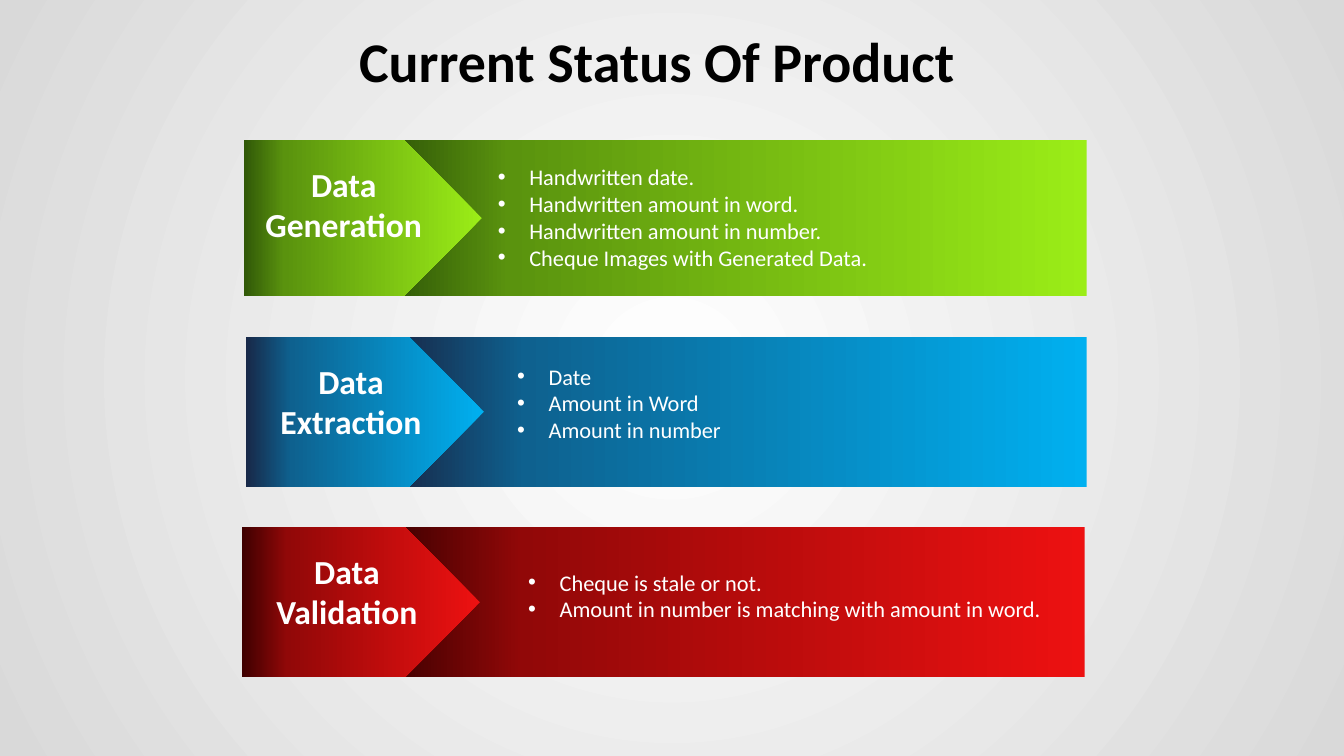
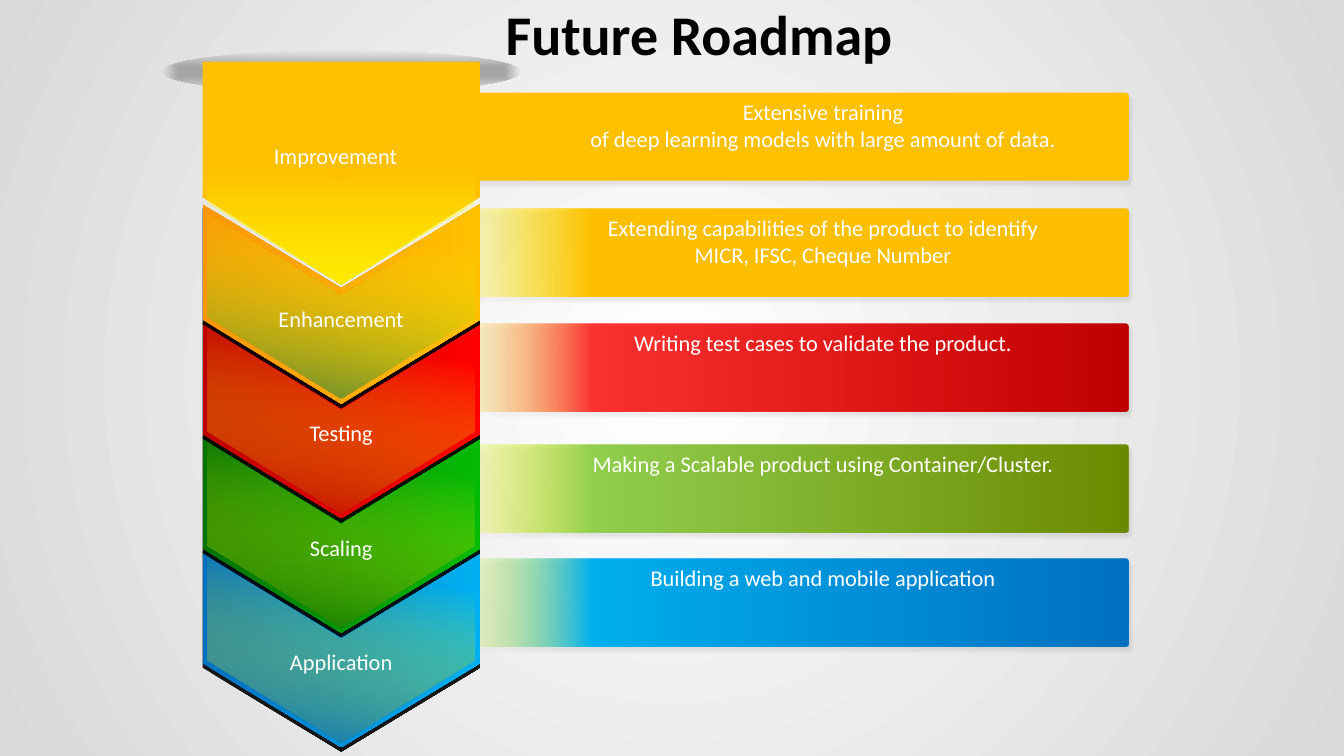
import pptx
import pptx.dml.color
import pptx.enum.shapes
import pptx.enum.text
import pptx.oxml
import pptx.oxml.ns
import pptx.util

Pt = pptx.util.Pt
SHAPES = pptx.enum.shapes.MSO_SHAPE
ALIGN = pptx.enum.text.PP_ALIGN
TOP = pptx.enum.text.MSO_ANCHOR.TOP
qn = pptx.oxml.ns.qn
FONT = "Calibri"
WHITE = "FFFFFF"
BLACK = "000000"
AMBER = "FFC000"
CLEAR_YELLOW = ("FFFF00", 0)

STATUS_ROWS = [
    dict(box=(174.2, 100, 602, 111.6), label="Data Generation", label_left=-3.7,
         list_at=(138.2, 13), colors=("9BED17", "5A930E", "305808"), middle=83,
         items=["Handwritten date.", "Handwritten amount in word.",
                "Handwritten amount in number.", "Cheque Images with Generated Data."]),
    dict(box=(175.7, 240.5, 600.5, 107.3), label="Data Extraction", label_left=0,
         list_at=(150.5, 15), colors=("00B0F0", "0E618F", "182848"), middle=81,
         items=["Date", "Amount in Word", "Amount in number"]),
    dict(box=(172.8, 376.6, 602, 107.3), label="Data Validation", label_left=0,
         list_at=(161.3, 26), colors=("ED1111", "910808", "3E0000"), middle=81,
         items=["Cheque is stale or not.",
                "Amount in number is matching with amount in word."]),
]

ROADMAP_BARS = [
    (66.2, None, ["Extensive training",
                  "of deep learning models with large amount of data."]),
    (149, (AMBER, AMBER, 100), ["Extending capabilities of the product to identify",
                                "MICR, IFSC, Cheque Number"]),
    (231.1, ("C00000", "FF0000", 79), ["Writing test cases to validate the product."]),
    (317.5, ("6C8A00", "92D050", 100),
     ["Making a Scalable product using Container/Cluster."]),
    (398.9, ("0070C0", "00B0F0", 100), ["Building a web and mobile application"]),
]

ROADMAP_STEPS = [
    ("Enhancement", "FA9706", AMBER, "548235"),
    ("Testing", "C00000", "FF0000", "C00000"),
    ("Scaling", "037303", "05BA05", "037303"),
    ("Application", "0070C0", "00B0F0", "0070C0"),
]


def rgb(color):
    """Return the colour object for a hex string."""
    return pptx.dml.color.RGBColor.from_string(color)


def drawing(markup):
    """Parse one DrawingML element."""
    head, tail = markup.split(" ", 1)
    namespace = pptx.oxml.ns.nsdecls("a")
    return pptx.oxml.parse_xml(f"{head} {namespace} {tail}")


def gradient(stops, angle=None, route="circle"):
    """Build a gradient, linear at an angle or spreading from the centre."""
    marks = "".join(
        f'<a:gs pos="{position * 1000}"><a:srgbClr val="{color}">'
        f'<a:alpha val="{alpha * 1000}"/></a:srgbClr></a:gs>'
        for position, color, alpha in stops)
    if angle is None:
        course = (f'<a:path path="{route}"><a:fillToRect l="50000" t="50000" '
                  'r="50000" b="50000"/></a:path>')
    else:
        course = f'<a:lin ang="{angle * 60000}" scaled="0"/>'
    return drawing(f'<a:gradFill rotWithShape="1"><a:gsLst>{marks}</a:gsLst>'
                   f'{course}</a:gradFill>')


def put_text(frame, lines, size=16, color=WHITE, bold=False, align=ALIGN.LEFT,
             indent=0, bullet_gap=0):
    """Fill a text frame with one paragraph for each line."""
    frame.word_wrap = True
    frame.auto_size = pptx.enum.text.MSO_AUTO_SIZE.NONE
    frame.vertical_anchor = TOP
    for index, line in enumerate(lines):
        paragraph = frame.add_paragraph() if index else frame.paragraphs[0]
        paragraph.alignment = align
        paragraph.space_before = Pt(0)
        run = paragraph.add_run()
        run.text = line
        run.font.name = FONT
        run.font.size = Pt(size)
        run.font.bold = bold
        run.font.color.rgb = rgb(color)
        properties = paragraph._p.get_or_add_pPr()
        properties.set("marL", str(Pt(indent)))
        properties.set("indent", str(-Pt(bullet_gap)))
        if bullet_gap:
            properties.append(drawing('<a:buFont typeface="Arial"/>'))
            properties.append(drawing('<a:buChar char="&#8226;"/>'))


def place(shape, left, top, width, height):
    """Set the position and size of a shape."""
    shape.left, shape.top = Pt(left), Pt(top)
    shape.width, shape.height = Pt(width), Pt(height)


def add_shape(slide, kind, box, fill, adjust=None, rotation=0, shadow=None):
    """Add a borderless shape with a plain or gradient fill."""
    shape = slide.shapes.add_shape(kind, *(Pt(length) for length in box))
    shape.shadow.inherit = False
    shape.line.fill.background()
    shape.rotation = rotation
    if adjust is not None:
        shape.adjustments[0] = adjust
    if isinstance(fill, str):
        shape.fill.solid()
        shape.fill.fore_color.rgb = rgb(fill)
    else:
        shape.fill.background()
        properties = shape.element.spPr
        properties.replace(properties.find(qn("a:noFill")), fill)
    if shadow:
        alpha, blur, distance, direction = shadow
        shape.element.spPr.find(qn("a:effectLst")).append(drawing(
            f'<a:outerShdw blurRad="{Pt(blur)}" dist="{Pt(distance)}" '
            f'dir="{direction * 60000}" algn="tl" rotWithShape="0">'
            f'<a:srgbClr val="{BLACK}"><a:alpha val="{alpha * 1000}"/></a:srgbClr>'
            '</a:outerShdw>'))
    return shape


def add_pointer(slide, kind, center, length, breadth, fill, adjust, shadow=None):
    """Add a shape turned to point down around its centre."""
    x, y = center
    box = (x - length / 2, y - breadth / 2, length, breadth)
    return add_shape(slide, kind, box, fill, adjust, 90, shadow)


def add_label(slide, text, box, **style):
    """Add a centred text box."""
    label = slide.shapes.add_textbox(*(Pt(length) for length in box))
    put_text(label.text_frame, [text], align=ALIGN.CENTER, **style)


def set_title(slide, text, left, top):
    """Write and place the slide title in front of the other shapes."""
    title = slide.shapes.title
    place(title, left, top, 552.2, 55.4)
    put_text(title.text_frame, [text], size=40, color=BLACK, bold=True,
             align=ALIGN.CENTER)
    slide.shapes.element.append(title.element)


def set_background(presentation):
    """Give the master a soft light spot in the centre."""
    master = presentation.slide_master
    master.background.fill.solid()
    properties = master.element.find(".//" + qn("p:bgPr"))
    glow = gradient([(0, WHITE, 100), (100, "D9D9D9", 100)])
    properties.replace(properties.find(qn("a:solidFill")), glow)


def add_status_row(slide, body, box, label, label_left, list_at, colors, middle, items):
    """Draw one status band with its arrow, label and list."""
    left, top, width, height = box
    stops = [(position, color, 100)
             for position, color in zip((0, middle, 100), colors)]
    add_shape(slide, SHAPES.PENTAGON, (left + 105, top, width - 105, height),
              gradient(stops, 180), 0)
    add_shape(slide, SHAPES.PENTAGON, (left, top, 170, height),
              gradient(stops, 180), 0.5)
    add_label(slide, label, (left + label_left, top + 13.5, 150, 81), size=24, bold=True)
    place(body, left + list_at[0], top + list_at[1], 432, 85)
    put_text(body.text_frame, items, indent=58.5, bullet_gap=22.5)
    slide.shapes.element.append(body.element)


def add_status_slide(presentation):
    """Build the slide with the three status bands."""
    slide = presentation.slides.add_slide(presentation.slide_layouts[4])
    bodies = [shape for shape in slide.placeholders
              if shape.placeholder_format.idx > 0]
    for body, row in zip(bodies, STATUS_ROWS):
        add_status_row(slide, body, **row)
    for spare in bodies[len(STATUS_ROWS):]:
        slide.shapes.element.remove(spare.element)
    set_title(slide, "Current Status Of Product", 193, 15.1)


def add_roadmap_bar(slide, box, colors, lines):
    """Draw one roadmap bar that fades out to the left."""
    fill = AMBER
    if colors:
        end, start, alpha = colors
        fill = gradient([(0, end, 100), (78, start, alpha), (100, *CLEAR_YELLOW)], 180)
    bar = add_shape(slide, SHAPES.ROUNDED_RECTANGLE, box, fill, 0.04,
                    shadow=(8, 2, 3, 70))
    put_text(bar.text_frame, lines, align=ALIGN.CENTER, indent=54)


def add_step_label(slide, text, center):
    """Write the name of a step around its centre."""
    x, y = center
    add_label(slide, text, (x - 72, y - 13.3, 144, 26.6))


def add_step(slide, center, text, left_color, right_color, tip_color):
    """Draw one chevron of the roadmap with its glow and name."""
    x, y = center
    side_fill = gradient([(0, left_color, 100), (100, right_color, 100)], 270)
    add_pointer(slide, SHAPES.CHEVRON, center, 142.6, 198, side_fill, 0.42,
                shadow=(90, 0, 3, 90))
    glow = gradient([(0, tip_color, 100), (85, *CLEAR_YELLOW)], 190)
    add_pointer(slide, SHAPES.CHEVRON, (x, y + 1.4), 132.5, 190.8, glow, 0.44)
    add_step_label(slide, text, (x, y + 10.4))


def add_first_step(slide, center):
    """Draw the plate that heads the roadmap."""
    x, y = center
    add_pointer(slide, SHAPES.PENTAGON, center, 159.1, 198, AMBER, 0.39)
    glow = gradient([(0, "FFED01", 100), (62, *CLEAR_YELLOW)], 180)
    add_pointer(slide, SHAPES.CHEVRON, (x, y + 13.7), 132.5, 190.8, glow, 0.44)
    add_step_label(slide, "Improvement", (x - 4, y - 12.2))


def add_roadmap_slide(presentation):
    """Build the slide with the stacked chevrons and their bars."""
    slide = presentation.slides.add_slide(presentation.slide_layouts[5])
    for top, colors, lines in ROADMAP_BARS:
        add_roadmap_bar(slide, (315.4, top, 491, 62.9), colors, lines)
    halo = gradient([(23, "A6A6A6", 100), (100, "A6A6A6", 0)], route="shape")
    add_shape(slide, SHAPES.OVAL, (115.9, 36, 255.6, 30.2), halo)
    axis, first_center, pitch = 243.7, 217.1, 81.8
    for index, step in reversed(list(enumerate(ROADMAP_STEPS))):
        add_step(slide, (axis, first_center + index * pitch), *step)
    add_first_step(slide, (axis, 123.5))
    set_title(slide, "Future Roadmap", 223.2, -3.6)


def main():
    """Build and save the presentation."""
    presentation = pptx.Presentation()
    presentation.slide_width, presentation.slide_height = Pt(960), Pt(540)
    set_background(presentation)
    add_status_slide(presentation)
    add_roadmap_slide(presentation)
    presentation.save("out.pptx")


main()
